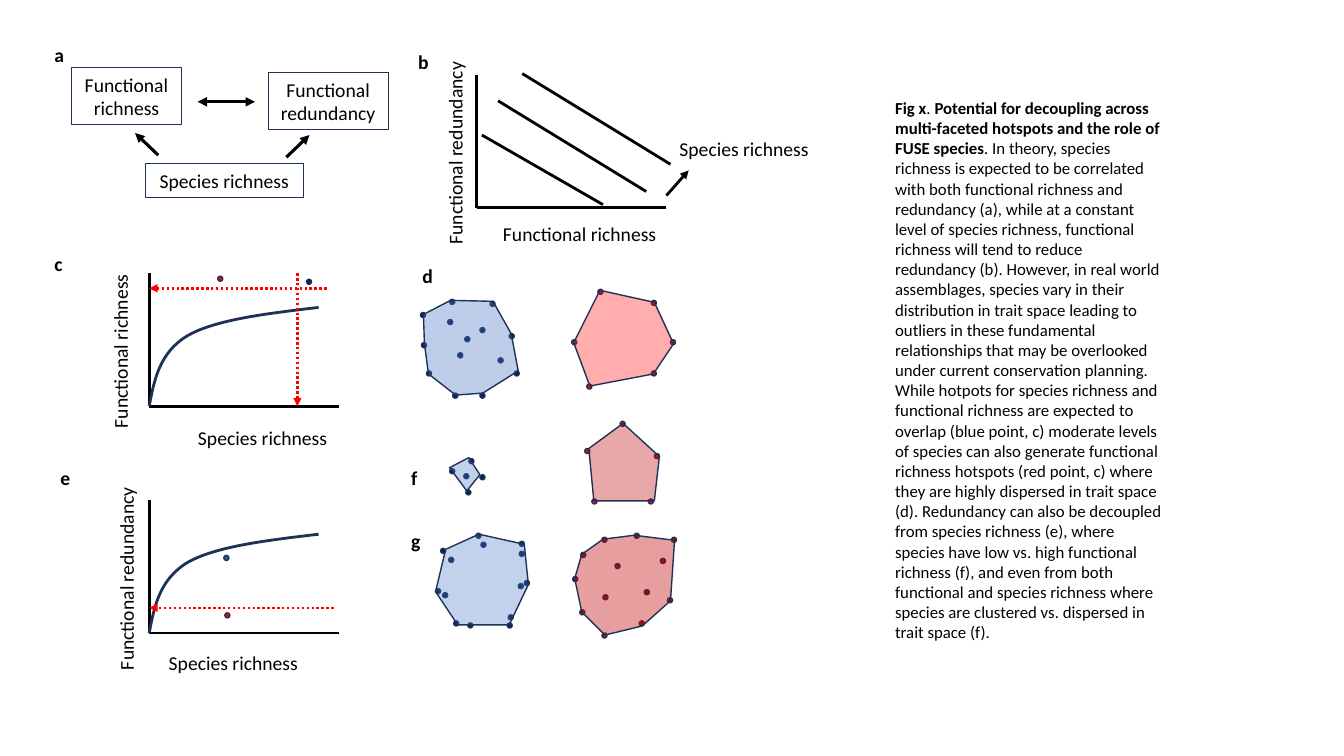
from lxml import etree
from pptx import Presentation
from pptx import util as u
from pptx.dml.color import RGBColor
from pptx.enum import dml, shapes, text
from pptx.oxml.ns import qn

PX = 9144  # 100 px to the inch
BLACK = RGBColor(0, 0, 0)
NAVY = RGBColor(0x1E, 0x32, 0x56)
POINT_BLUE = RGBColor(0x00, 0x20, 0x60)
MID_BLUE = RGBColor(0x2F, 0x55, 0x97)
HULL_BLUE = RGBColor(0x44, 0x72, 0xC4)
RED = RGBColor(0xFF, 0, 0)
DARK_RED = RGBColor(0xC0, 0, 0)

FONT = "Calibri"
DOT = 5
LABEL_HEIGHT = 34
SPECIES = "Species richness"
RICHNESS = "Functional richness"
REDUNDANCY = "Functional redundancy"

CAPTION_SENTENCES = [
    ". In theory, species richness is expected to be correlated with both functional richness "
    "and redundancy (a), while at a constant level of species richness, functional richness will "
    "tend to reduce redundancy (b).",
    "However, in real world assemblages, species vary in their distribution in trait space "
    "leading to outliers in these fundamental relationships that may be overlooked under current "
    "conservation planning.",
    "While hotpots for species richness and functional richness are expected to overlap (blue "
    "point, c) moderate levels of species can also generate functional richness hotspots (red "
    "point, c) where they are highly dispersed in trait space (d).",
    "Redundancy can also be decoupled from species richness (e), where species have low vs. high "
    "functional richness (f), and even from both functional and species richness where species "
    "are clustered vs. dispersed in trait space (f).",
]
CAPTION = [
    ("Fig x", True),
    (". ", False),
    ("Potential for decoupling across multi-faceted hotspots and the role of FUSE species", True),
    (" ".join(CAPTION_SENTENCES), False),
]

# Each trait space: left, top, point colour, hull colour, hull opacity %, hull corners, points
TRAIT_SPACES = [
    (420, 298, POINT_BLUE, HULL_BLUE, 35,
     [(69, 1), (27, 0), (0, 14), (1, 43), (5, 73), (32, 94), (59, 92), (94, 70), (87, 33)],
     [(-3, 12), (24, 19), (-2, 42), (26, -1), (34, 52), (3, 70), (29, 92), (56, 92),
      (66, 1), (90, 70), (85, 33), (56, 27), (41, 36), (74, 57)]),
    (569, 288, RED, RED, 32,
     [(26, 0), (80, 12), (99, 53), (79, 83), (16, 95), (0, 52)],
     [(24, -1), (-2, 49), (77, 10), (13, 93), (77, 80), (96, 49)]),
    (446, 454, POINT_BLUE, HULL_BLUE, 33,
     [(19, 0), (30, 17), (17, 33), (0, 10)],
     [(19, 1), (0, 11), (14, 16), (30, 17), (16, 32)]),
    (584, 420, RED, DARK_RED, 34,
     [(34, 0), (70, 33), (65, 77), (5, 77), (0, 25)],
     [(31, -2), (65, 30), (59, 75), (-4, 25), (3, 75)]),
    (432, 530, POINT_BLUE, HULL_BLUE, 32,
     [(43, 0), (88, 10), (92, 50), (73, 90), (22, 90), (0, 57), (10, 15)],
     [(18, 86), (71, 88), (72, 80), (0, 54), (82, 49), (88, 46), (7, 58), (5, 14),
      (40, -1), (83, 7), (45, 8), (13, 23), (32, 88), (83, 17)]),
    (570, 531, DARK_RED, DARK_RED, 38,
     [(59, 0), (99, 5), (95, 65), (67, 90), (30, 99), (7, 76), (0, 43), (7, 19), (28, 4)],
     [(-2, 41), (28, 59), (69, 54), (5, 74), (27, 97), (6, 17), (40, 28), (85, 23),
      (27, 2), (59, -2), (96, 2), (92, 62), (64, 85)]),
]
PANEL_LETTERS = {"a": (44, 38), "b": (405, 45), "c": (44, 245), "d": (409, 257),
                 "e": (50, 457), "f": (398, 457), "g": (398, 520)}


def write(shape, spans, size=14, centred=False):
    """Fill a shape with one paragraph made of (words, bold) spans."""
    shape.text_frame.word_wrap = True
    para = shape.text_frame.paragraphs[0]
    para.alignment = text.PP_ALIGN.CENTER if centred else text.PP_ALIGN.LEFT
    for words, bold in spans:
        span = para.add_run()
        span.text = words
        span.font.name, span.font.size, span.font.bold = FONT, u.Pt(size), bold
        span.font.color.rgb = BLACK


def add_text(parent, box, spans, **style):
    label = parent.add_textbox(*(length * PX for length in box))
    write(label, spans, **style)
    return label


class Panel:
    """A group whose parts are placed in px from its left and top."""

    def __init__(self, page, left, top):
        self.shapes = page.shapes.add_group_shape().shapes
        self.left, self.top = left, top

    def place(self, x, y):
        return round((self.left + x) * PX), round((self.top + y) * PX)

    def label(self, x, y, width, words, centred=False, upright=False):
        box = (self.left + x, self.top + y, width, LABEL_HEIGHT)
        label = add_text(self.shapes, box, [(words, False)], centred=centred)
        if upright:
            label.rotation = 270

    def preset(self, kind, x, y, width, height, fill, weight):
        shape = self.shapes.add_shape(kind, *self.place(x, y), width * PX, height * PX)
        self.finish(shape, fill, weight)
        return shape

    def finish(self, shape, fill, weight):
        shape.shadow.inherit = False
        shape.line.color.rgb, shape.line.width = NAVY, u.Pt(weight)
        if fill is None:
            shape.fill.background()
        else:
            shape.fill.solid()
            shape.fill.fore_color.rgb = fill

    def dot(self, x, y, fill):
        self.preset(shapes.MSO_SHAPE.OVAL, x, y, DOT, DOT, fill, 1)

    def boxed(self, x, y, width, height, words):
        shape = self.preset(shapes.MSO_SHAPE.RECTANGLE, x, y, width, height, None, 0.75)
        write(shape, [(words, False)], centred=True)

    def outline(self, points, closed, fill, weight):
        start, *rest = [self.place(*point) for point in points]
        builder = self.shapes.build_freeform(*start)
        builder.add_line_segments(rest, close=closed)
        shape = builder.convert_to_shape()
        self.finish(shape, fill, weight)
        return shape

    def line(self, start, end, weight=2, color=BLACK, dotted=False, arrows=()):
        line = self.shapes.add_connector(
            shapes.MSO_CONNECTOR.STRAIGHT, *self.place(*start), *self.place(*end))
        line.line.color.rgb, line.line.width = color, u.Pt(weight)
        if dotted:
            line.line.dash_style = dml.MSO_LINE.ROUND_DOT
        properties = line.element.spPr
        for arrow in arrows:
            etree.SubElement(properties.find(qn("a:ln")), qn(arrow), type="triangle")
        etree.SubElement(properties, qn("a:effectLst"))

    def axes(self, width=188, height=132):
        self.line((0, 0), (0, height))
        self.line((width, height), (0, height))

    def guide(self, start, end):
        self.line(start, end, 1.75, RED, dotted=True, arrows=["a:tailEnd"])


def bezier(start, first, second, end, steps=20):
    """Points along a cubic curve, without its start."""
    for step in range(1, steps + 1):
        t = step / steps
        s = 1 - t
        yield tuple(s**3 * a + 3 * s * s * t * b + 3 * s * t * t * c + t**3 * d
                    for a, b, c, d in zip(start, first, second, end))


def draw_relations(page, left, top):
    panel = Panel(page, left, top)
    panel.boxed(73, 95, 157, 34, SPECIES)
    panel.boxed(195, 5, 119, 57, REDUNDANCY)
    panel.boxed(0, 0, 109, 57, RICHNESS)
    panel.line((86, 87), (63, 65), 2.25, arrows=["a:tailEnd"])
    panel.line((213, 89), (236, 67), 2.25, arrows=["a:tailEnd"])
    panel.line((125, 34), (182, 34), 2.25, arrows=["a:headEnd", "a:tailEnd"])


def draw_tradeoff(page, left, top):
    panel = Panel(page, left, top)
    panel.axes()
    panel.label(-151, 32, 259, REDUNDANCY, upright=True)
    panel.label(16, 141, 259, RICHNESS)
    for start, end in [((45, -1), (192, 89)), ((21, 26), (168, 116)), ((5, 60), (125, 129))]:
        panel.line(start, end)
    panel.line((188, 120), (210, 95), arrows=["a:tailEnd"])
    panel.label(191, 57, 151, SPECIES)


def draw_saturation(page, left, top, y_title, y_title_at, x_title_at, guides, points):
    panel = Panel(page, left, top)
    panel.axes()
    panel.label(*x_title_at, 209, SPECIES, centred=True)
    panel.label(*y_title_at, 259, y_title, upright=True)
    start, middle = (0, 132), (38, 62)
    curve = [start, *bezier(start, (5, 106), (10, 79), middle),
             *bezier(middle, (66, 46), (117, 40), (168, 34))]
    panel.outline(curve, False, None, 2)
    for guide in guides:
        panel.guide(*guide)
    for x, y, fill in points:
        panel.dot(x, y, fill)


def draw_trait_space(page, left, top, point_color, hull_color, opacity, corners, points):
    panel = Panel(page, left, top)
    for point in points:
        panel.dot(*point, point_color)
    hull = panel.outline(corners, True, hull_color, 1)
    color = hull.element.spPr.find(qn("a:solidFill"))[0]
    etree.SubElement(color, qn("a:alpha"), val=str(opacity * 1000))


def main():
    deck = Presentation()
    deck.slide_width, deck.slide_height = 1333 * PX, 750 * PX
    page = deck.slides.add_slide(deck.slide_layouts[6])
    draw_relations(page, 71, 67)
    draw_tradeoff(page, 473, 74)
    draw_saturation(page, 148, 271, RICHNESS, (-158, 17), (8, 147),
                    [((147, 0), (147, 132)), ((176, 15), (0, 15))],
                    [(68, 3, RED), (156, 6, POINT_BLUE)])
    draw_saturation(page, 148, 496, REDUNDANCY, (-152, 32), (-21, 145),
                    [((183, 107), (0, 107))],
                    [(75, 112, RED), (74, 55, MID_BLUE)])
    for trait_space in TRAIT_SPACES:
        draw_trait_space(page, *trait_space)
    for letter, (left, top) in PANEL_LETTERS.items():
        add_text(page.shapes, (left, top, 26, LABEL_HEIGHT), [(letter, True)])
    add_text(page.shapes, (878, 92, 286, 555), CAPTION, size=12)
    deck.save("out.pptx")


if __name__ == "__main__":
    main()
